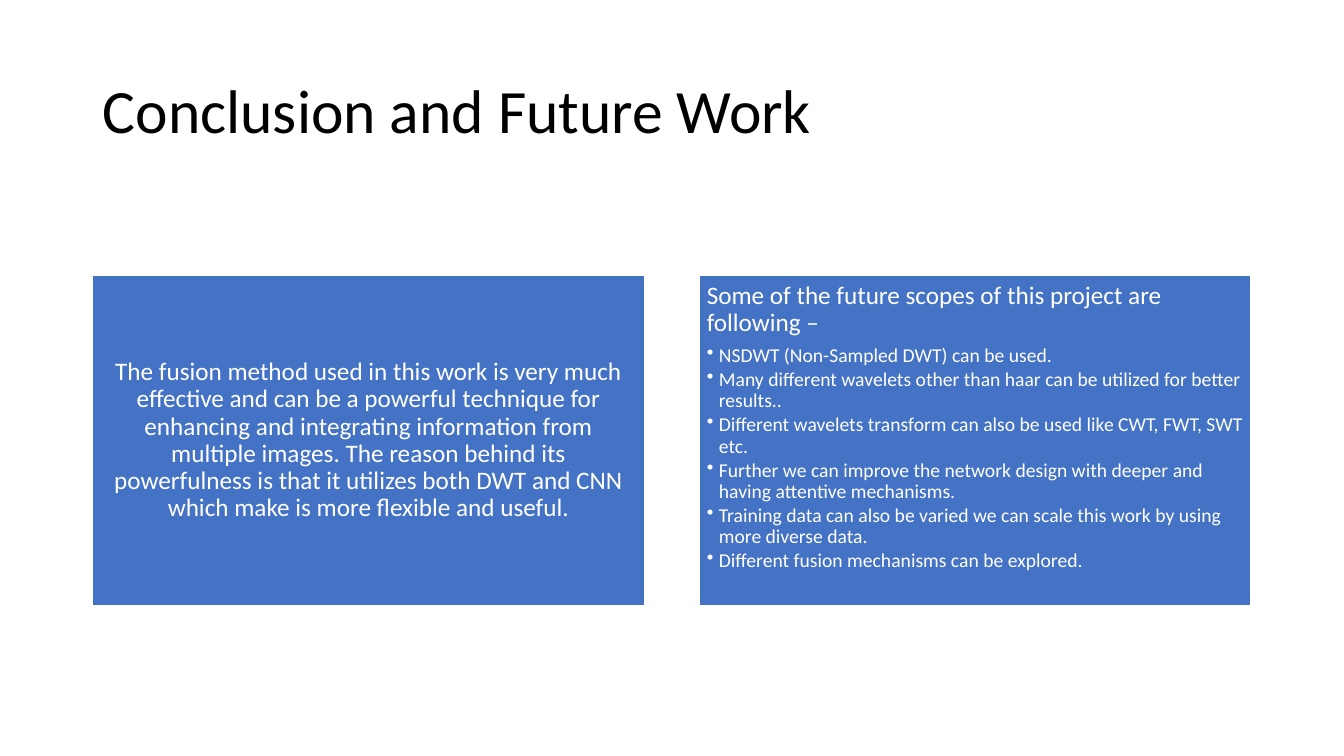
from lxml import etree
from pptx import Presentation
from pptx import util as u
from pptx.dml.color import RGBColor
from pptx.enum import shapes, text
from pptx.oxml.ns import qn

WIDTH, HEIGHT = 13.33, 7.5
MARGIN, GAP = 0.92, 0.55
COLUMN = (WIDTH - 2 * MARGIN - GAP) / 2
PANEL_TOP, PANEL_HEIGHT = 2.73, 3.28
INSET, INDENT = 0.07, 0.12
BLUE, WHITE, BLACK = "4472C4", "FFFFFF", "000000"

CONCLUSION = (
    "The fusion method used in this work is very much effective and can be a "
    "powerful technique for enhancing and integrating information from multiple "
    "images. The reason behind its powerfulness is that it utilizes both DWT and "
    "CNN which make is more flexible and useful."
)
SCOPE_HEADING = "Some of the future scopes of this project are following –"
SCOPES = [
    "NSDWT (Non-Sampled DWT) can be used.",
    "Many different wavelets other than haar can be utilized for better results..",
    "Different wavelets transform can also be used like CWT, FWT, SWT etc.",
    "Further we can improve the network design with deeper and having attentive mechanisms.",
    "Training data can also be varied we can scale this work by using more diverse data.",
    "Different fusion mechanisms can be explored.",
]


def rgb(value):
    return RGBColor.from_string(value)


def write(p, content, size=18, color=WHITE, align=text.PP_ALIGN.LEFT, after=0, bullet=False):
    """Fill one paragraph; after is a share of the text size."""
    p.alignment = align
    p.line_spacing = 0.9
    p.space_before = u.Pt(0)
    p.space_after = u.Pt(size * after)
    if bullet:
        p.level = 1
        pPr = p._p.get_or_add_pPr()
        pPr.set("marL", str(u.Inches(INDENT)))
        pPr.set("indent", str(-u.Inches(INDENT)))
        etree.SubElement(pPr, qn("a:buChar")).set("char", "•")
    r = p.add_run()
    r.text = content
    r.font.name = "Calibri"
    r.font.size = u.Pt(size)
    r.font.color.rgb = rgb(color)


def add_title(s, content):
    sp = s.shapes.title
    sp.left, sp.top = u.Inches(MARGIN), u.Inches(0.4)
    sp.width, sp.height = u.Inches(WIDTH - 2 * MARGIN), u.Inches(1.45)
    tf = sp.text_frame
    tf.auto_size = text.MSO_AUTO_SIZE.NONE
    tf.vertical_anchor = text.MSO_ANCHOR.MIDDLE
    write(tf.paragraphs[0], content, size=44, color=BLACK)


def add_panel(s, column, anchor):
    """Draw the blue panel of a column and return its text frame."""
    left = MARGIN + column * (COLUMN + GAP)
    sp = s.shapes.add_shape(
        shapes.MSO_SHAPE.RECTANGLE,
        *map(u.Inches, (left, PANEL_TOP, COLUMN, PANEL_HEIGHT)),
    )
    sp.shadow.inherit = False
    sp.fill.solid()
    sp.fill.fore_color.rgb = rgb(BLUE)
    sp.line.color.rgb = rgb(WHITE)
    sp.line.width = u.Pt(1)
    tf = sp.text_frame
    tf.word_wrap = True
    tf.vertical_anchor = anchor
    tf.margin_left = tf.margin_right = tf.margin_top = tf.margin_bottom = u.Inches(INSET)
    return tf


def main():
    prs = Presentation()
    prs.slide_width, prs.slide_height = u.Inches(WIDTH), u.Inches(HEIGHT)
    s = prs.slides.add_slide(prs.slide_layouts.get_by_name("Title Only"))
    add_title(s, "Conclusion and Future Work")

    tf = add_panel(s, 0, text.MSO_ANCHOR.MIDDLE)
    write(tf.paragraphs[0], CONCLUSION, align=text.PP_ALIGN.CENTER, after=0.35)

    tf = add_panel(s, 1, text.MSO_ANCHOR.TOP)
    write(tf.paragraphs[0], SCOPE_HEADING, after=0.35)
    for scope in SCOPES:
        write(tf.add_paragraph(), scope, size=14, after=0.15, bullet=True)

    prs.save("out.pptx")


if __name__ == "__main__":
    main()
